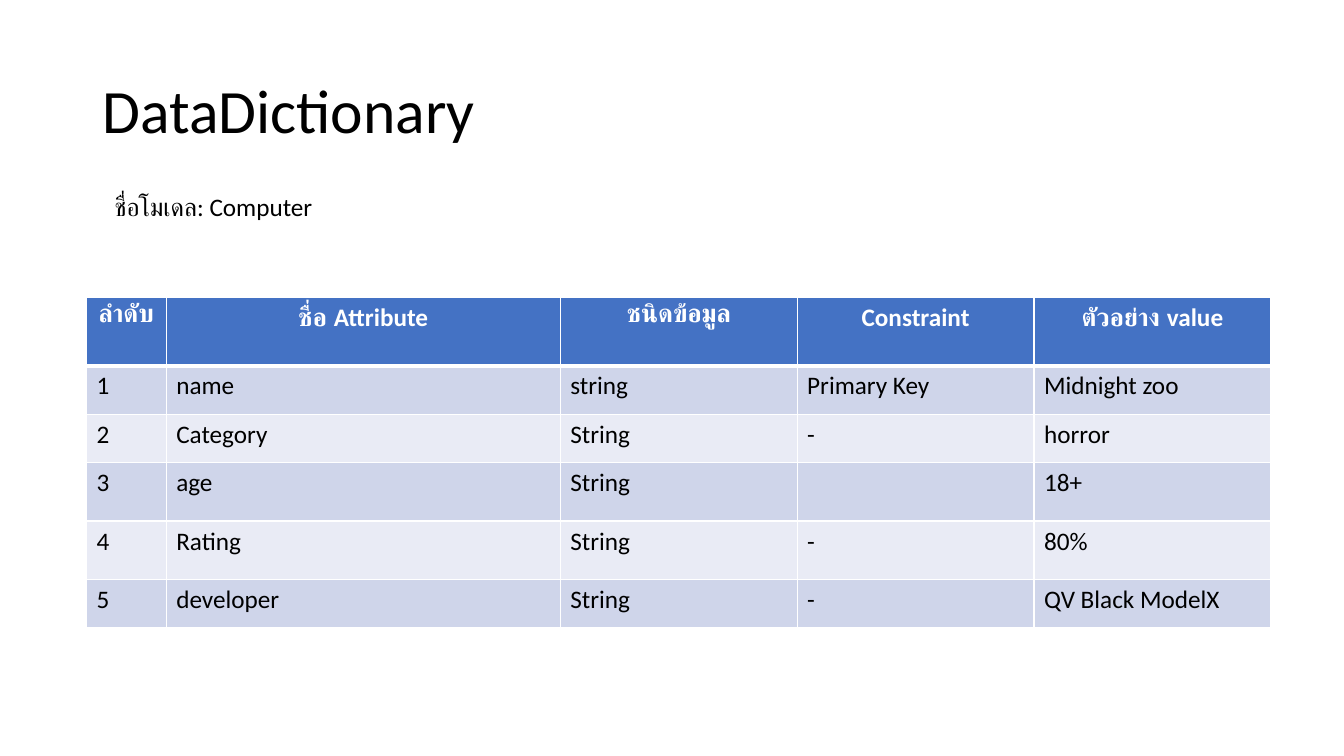
from dataclasses import dataclass

from lxml.etree import SubElement
from pptx import Presentation
from pptx.dml.color import RGBColor
from pptx.enum.text import MSO_ANCHOR, PP_ALIGN
from pptx.oxml.ns import qn
from pptx.util import Cm, Pt

COLOURS = {
    "text": "000000",
    "header": "4472C4",
    "odd": "CFD5EA",
    "even": "E9EBF5",
    "white": "FFFFFF",
}
FONT = "Calibri"
COLUMN_WIDTHS = (2.01, 9.93, 5.97, 5.97, 5.97)
HEADINGS = ("ลำดับ", "ชื่อ Attribute", "ชนิดข้อมูล", "Constraint", "ตัวอย่าง value")


@dataclass
class Attribute:
    name: str
    kind: str
    constraint: str
    example: str
    height: float = 1.22


@dataclass
class Label:
    text: str
    left: float
    top: float
    width: float
    height: float
    size: int
    anchor: MSO_ANCHOR = MSO_ANCHOR.TOP
    spacing: float = 1.0


ATTRIBUTES = (
    Attribute("name", "string", "Primary Key", "Midnight zoo"),
    Attribute("Category", "String", "-", "horror"),
    Attribute("age", "String", "", "18+", height=1.47),
    Attribute("Rating", "String", "-", "80%", height=1.47),
    Attribute("developer", "String", "-", "QV Black ModelX"),
)
LABELS = (
    Label("DataDictionary", 2.33, 1.01, 29.21, 3.68, 44, MSO_ANCHOR.MIDDLE, 0.9),
    Label("ชื่อโมเดล: Computer", 2.64, 4.7, 10.39, 1.02, 18),
)


def write(frame, text: str, *, size: int = 18, colour: str = "text",
          bold: bool = False, align: PP_ALIGN = PP_ALIGN.LEFT,
          spacing: float = 1.0) -> None:
    para = frame.paragraphs[0]
    para.alignment = align
    para.line_spacing = spacing
    para.font.size = Pt(size)
    if text:
        span = para.add_run()
        span.text = text
        span.font.name = FONT
        span.font.size = Pt(size)
        span.font.bold = bold
        span.font.color.rgb = RGBColor.from_string(COLOURS[colour])


def add_label(page, label: Label) -> None:
    box = page.shapes.add_textbox(Cm(label.left), Cm(label.top),
                                  Cm(label.width), Cm(label.height))
    frame = box.text_frame
    frame.word_wrap = True
    frame.vertical_anchor = label.anchor
    write(frame, label.text, size=label.size, spacing=label.spacing)


def style_cell(cell, fill: str, top: int, bottom: int) -> None:
    properties = cell._tc.get_or_add_tcPr()
    for side, points in (("L", 1), ("R", 1), ("T", top), ("B", bottom)):
        line = SubElement(properties, qn(f"a:ln{side}"), w=str(Pt(points)))
        solid = SubElement(line, qn("a:solidFill"))
        SubElement(solid, qn("a:srgbClr"), val=COLOURS["white"])
    cell.fill.solid()
    cell.fill.fore_color.rgb = RGBColor.from_string(COLOURS[fill])


def add_dictionary(page) -> None:
    rows = [HEADINGS] + [
        (str(number), item.name, item.kind, item.constraint, item.example)
        for number, item in enumerate(ATTRIBUTES, 1)
    ]
    heights = [1.73] + [item.height for item in ATTRIBUTES]
    table = page.shapes.add_table(
        len(rows), len(HEADINGS), Cm(2.18), Cm(7.49),
        Cm(sum(COLUMN_WIDTHS)), Cm(sum(heights))).table
    table.first_row = table.horz_banding = False
    for column, width in zip(table.columns, COLUMN_WIDTHS):
        column.width = Cm(width)

    for index, (texts, height) in enumerate(zip(rows, heights)):
        table.rows[index].height = Cm(height)
        header = index == 0
        fill = "header" if header else "odd" if index % 2 else "even"
        for cell, text in zip(table.rows[index].cells, texts):
            style_cell(cell, fill, top=3 if index == 1 else 1,
                       bottom=3 if header else 1)
            write(cell.text_frame, text, bold=header,
                  colour="white" if header else "text",
                  align=PP_ALIGN.CENTER if header else PP_ALIGN.LEFT)


def main() -> None:
    deck = Presentation()
    deck.slide_width, deck.slide_height = Cm(33.87), Cm(19.05)
    page = deck.slides.add_slide(deck.slide_layouts[6])

    # Title and model name
    for label in LABELS:
        add_label(page, label)

    # Attribute table
    add_dictionary(page)

    deck.save("out.pptx")


if __name__ == "__main__":
    main()
